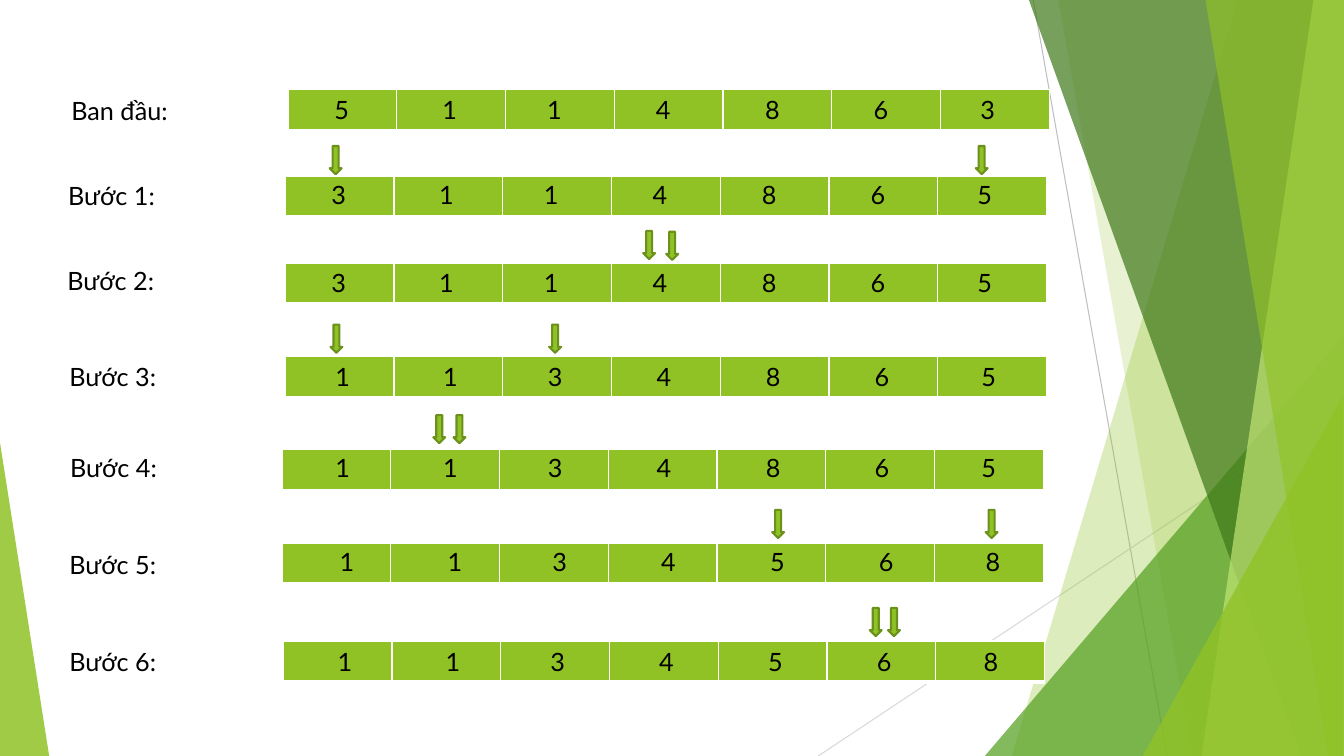
import pptx
import pptx.util
import pptx.dml.color
import pptx.enum.shapes
import pptx.enum.text
import pptx.oxml
import pptx.oxml.ns
import lxml.etree

Cm = pptx.util.Cm
Pt = pptx.util.Pt
qn = pptx.oxml.ns.qn
PRESET = pptx.enum.shapes.MSO_SHAPE
COLORS = {
    "lime": "90C226", "green": "54A021", "forest": "3F7819", "pale": "C0E474",
    "olive": "6B901C", "gray": "BFBFBF", "silver": "D9D9D9",
    "white": "FFFFFF", "black": "000000",
}
WIDTH, HEIGHT = 33.87, 19.05
CELL_WIDTH, ROW_HEIGHT = 2.74, 1.03
DIGIT_OFFSETS = (0, 2.72, 5.36, 8.1, 10.85, 13.59, 16.28)


class Painter:
    def __init__(self, slide):
        self.slide = slide
        self.font = "Lato"
        self.size = Pt(18)

    def color(self, name):
        return pptx.dml.color.RGBColor.from_string(COLORS[name])

    def paint(self, shape, fill, opacity=100, line=None):
        shape.shadow.inherit = False
        shape.fill.solid()
        shape.fill.fore_color.rgb = self.color(fill)
        if opacity < 100:
            tint = shape._element.spPr.find(".//" + qn("a:srgbClr"))
            lxml.etree.SubElement(tint, qn("a:alpha"), val=str(opacity * 1000))
        if line:
            shape.line.color.rgb = self.color(line)
            shape.line.width = Pt(1.5)
        else:
            shape.line.fill.background()

    def line(self, start, end, color):
        line = self.slide.shapes.add_connector(
            pptx.enum.shapes.MSO_CONNECTOR.STRAIGHT, *map(Cm, start + end))
        line.line.color.rgb = self.color(color)
        line.line.width = Pt(0.75)
        lxml.etree.SubElement(line._element.spPr, qn("a:effectLst"))

    def facet(self, top_x, bottom_x, fill, opacity):
        builder = self.slide.shapes.build_freeform(Cm(top_x), 0, scale=1.0)
        corners = ((WIDTH, 0), (WIDTH, HEIGHT), (bottom_x, HEIGHT))
        builder.add_line_segments([(Cm(x), Cm(y)) for x, y in corners], close=True)
        self.paint(builder.convert_to_shape(), fill, opacity)

    def triangle(self, left, top, width, apex, fill, opacity):
        triangle = self.slide.shapes.add_shape(
            PRESET.ISOSCELES_TRIANGLE, Cm(left), Cm(top), Cm(width), Cm(HEIGHT - top))
        triangle.adjustments[0] = apex
        self.paint(triangle, fill, opacity)

    def arrow(self, left, top):
        arrow = self.slide.shapes.add_shape(
            PRESET.DOWN_ARROW, Cm(left), Cm(top), Cm(0.3), Cm(0.71))
        self.paint(arrow, "lime", line="olive")

    def text(self, words, left, top, width):
        frame = self.slide.shapes.add_textbox(
            Cm(left), Cm(top), Cm(width), Cm(1.03)).text_frame
        frame.word_wrap = True
        frame.auto_size = pptx.enum.text.MSO_AUTO_SIZE.SHAPE_TO_FIT_TEXT
        run = frame.paragraphs[0].add_run()
        run.text = words
        run.font.name = self.font
        run.font.size = self.size
        run.font.color.rgb = self.color("black")

    def border(self, cell, side, width):
        edge = lxml.etree.SubElement(
            cell._tc.get_or_add_tcPr(), qn("a:" + side), w=str(Pt(width)))
        fill = lxml.etree.SubElement(edge, qn("a:solidFill"))
        lxml.etree.SubElement(fill, qn("a:srgbClr"), val=COLORS["white"])

    def array(self, left, top, count):
        table = self.slide.shapes.add_table(
            1, count, Cm(left), Cm(top), Cm(CELL_WIDTH * count), Cm(ROW_HEIGHT)).table
        table.first_row = table.horz_banding = False
        for column in table.columns:
            column.width = Cm(CELL_WIDTH)
        for cell in table.iter_cells():
            for side, width in (("lnL", 1), ("lnR", 1), ("lnT", 1), ("lnB", 3)):
                self.border(cell, side, width)
            cell.fill.solid()
            cell.fill.fore_color.rgb = self.color("lime")


deck = pptx.Presentation()
deck.slide_width, deck.slide_height = Cm(WIDTH), Cm(HEIGHT)
painter = Painter(deck.slides.add_slide(deck.slide_layouts[6]))

painter.line((26.04, 0), (29.41, HEIGHT), "gray")
painter.line((WIDTH, 10.24), (20.62, HEIGHT), "silver")
painter.facet(31.19, 25.5, "lime", 30)
painter.facet(26.67, 30.05, "lime", 20)
painter.triangle(24.82, 8.46, 9.04, 1, "green", 72)
painter.facet(25.93, 32.79, "forest", 70)
painter.facet(33.1, 30.28, "pale", 70)
painter.facet(30.38, 33.48, "lime", 65)
painter.triangle(28.8, 9.98, 5.05, 1, "lime", 80)
painter.triangle(0, 11.15, 1.24, 0, "lime", 85)

steps = (
    ("Ban đầu:", (1.55, 2.29), (7.26, 2.26), "5114863", (8.18, 2.24)),
    ("Bước 1:", (1.47, 4.42), (7.19, 4.44), "3114865", (8.1, 4.39)),
    ("Bước 2:", (1.45, 6.55), (7.19, 6.63), "3114865", (8.1, 6.6)),
    ("Bước 3:", (1.5, 8.99), (7.19, 8.99), "1134865", (8.2, 8.99)),
    ("Bước 4:", (1.52, 11.28), (7.11, 11.33), "1134865", (8.2, 11.28)),
    ("Bước 5:", (1.5, 13.72), (7.11, 13.69), "1134568", (8.31, 13.64)),
    ("Bước 6:", (1.5, 16.15), (7.14, 16.15), "1134568", (8.26, 16.15)),
)
for label, label_at, array_at, digits, (digit_left, digit_top) in steps:
    painter.array(*array_at, len(digits))
    for digit, offset in zip(digits, DIGIT_OFFSETS):
        painter.text(digit, digit_left + offset, digit_top, 1.35)
    painter.text(label, *label_at, 4.09)

swaps = (
    (8.31, 3.68), (24.59, 3.68), (16.21, 5.82), (16.79, 5.84),
    (8.33, 8.18), (13.84, 8.18), (10.92, 10.46), (11.43, 10.46),
    (19.46, 12.85), (24.84, 12.85), (21.92, 15.32), (22.38, 15.32),
)
for swap_at in swaps:
    painter.arrow(*swap_at)

deck.save("out.pptx")
